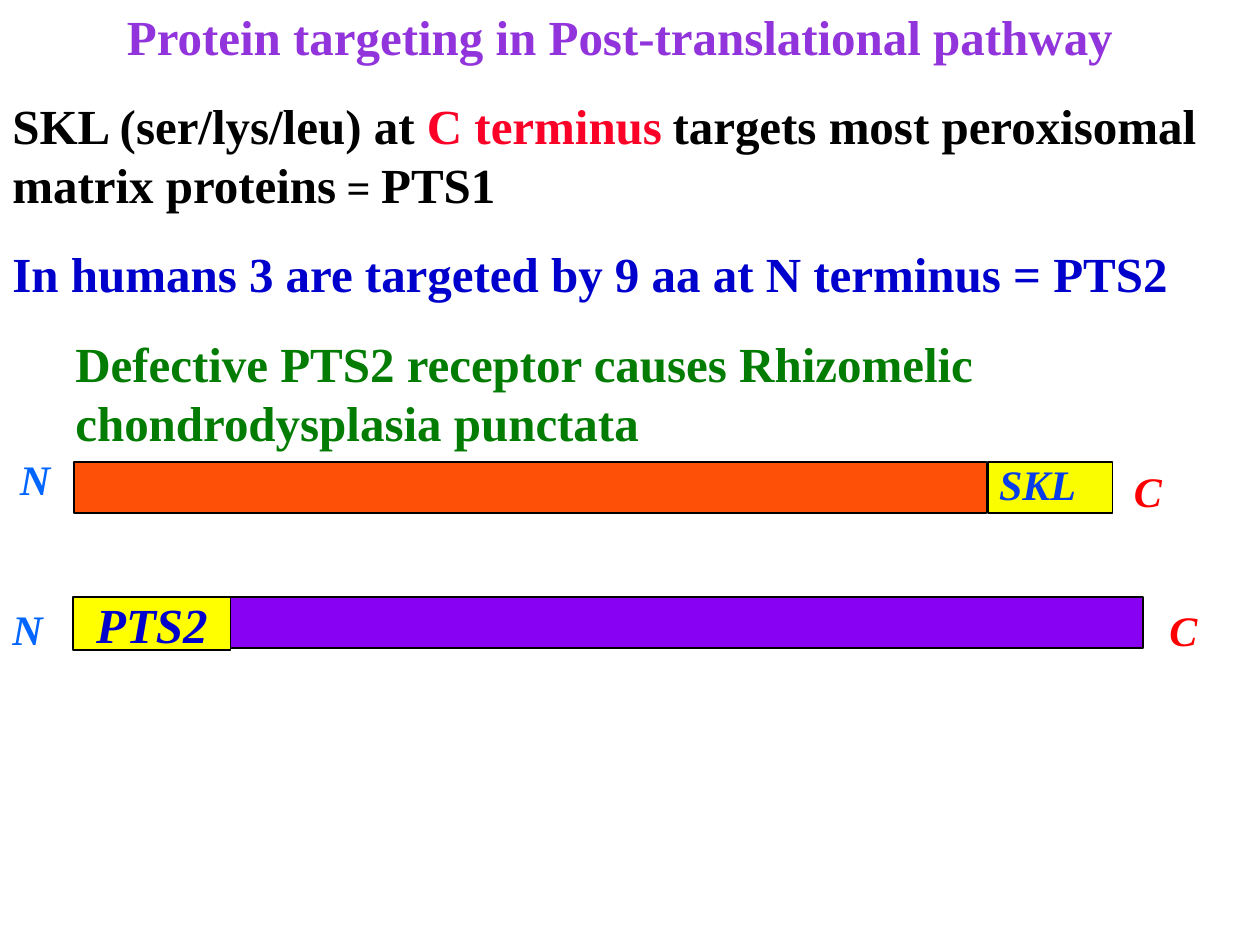
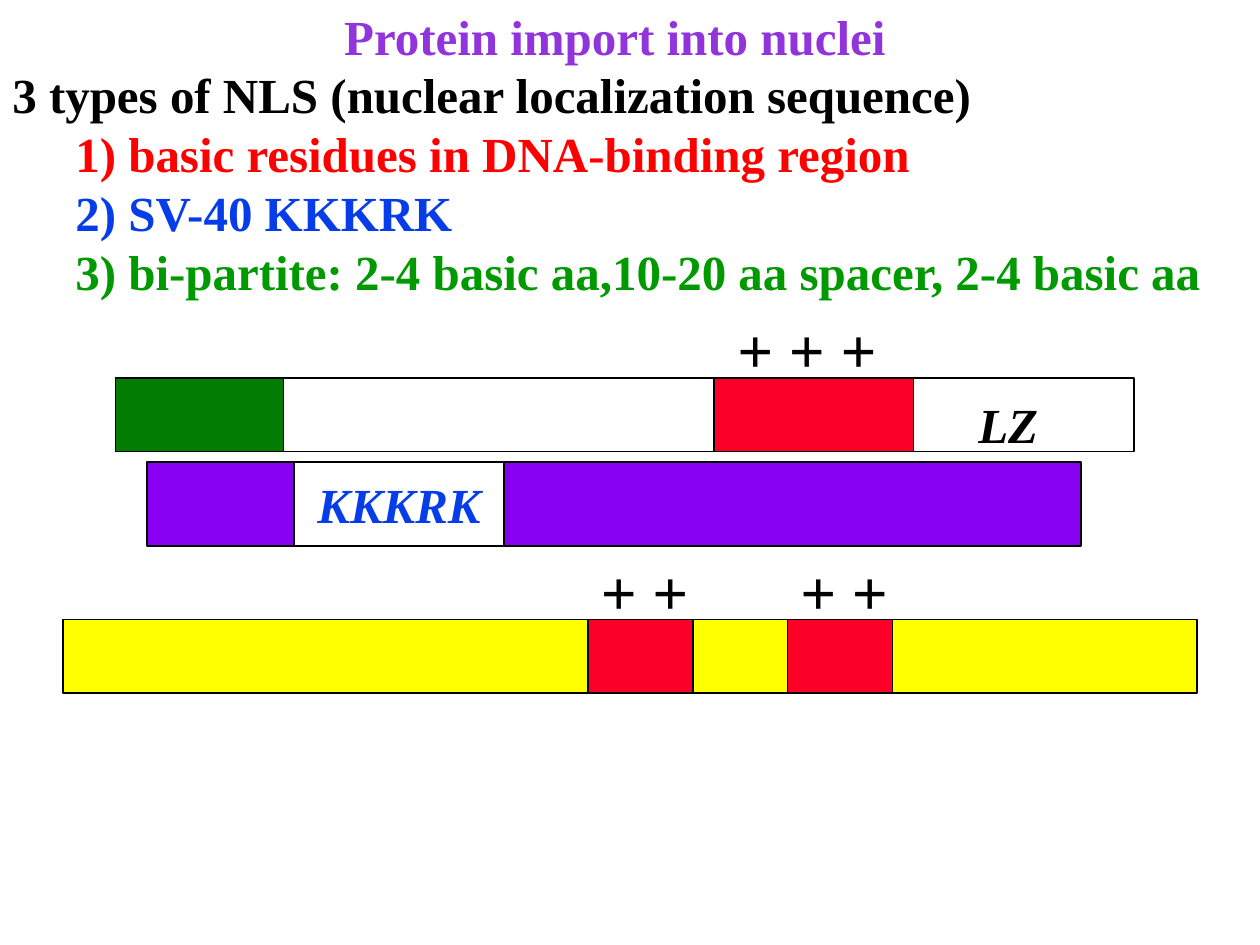
from pptx import Presentation
from pptx.dml.color import RGBColor
from pptx.enum import shapes, text
from pptx.util import Pt

FONT = "Times New Roman"
BLACK = RGBColor(0x00, 0x00, 0x00)
WHITE = RGBColor(0xFF, 0xFF, 0xFF)
TITLE = RGBColor(0x92, 0x34, 0xDB)
CRIMSON = RGBColor(0xFC, 0x01, 0x28)
RED = RGBColor(0xFF, 0x00, 0x00)
NAVY = RGBColor(0x00, 0x00, 0xCC)
BLUE = RGBColor(0x06, 0x3D, 0xE8)
SKY = RGBColor(0x00, 0x66, 0xFF)
DARK_GREEN = RGBColor(0x03, 0x7C, 0x03)
GREEN = RGBColor(0x00, 0x99, 0x00)
ORANGE = RGBColor(0xFF, 0x50, 0x08)
PURPLE = RGBColor(0x89, 0x01, 0xF3)
LEMON = RGBColor(0xFA, 0xFD, 0x00)
YELLOW = RGBColor(0xFF, 0xFF, 0x00)


def add_run(p, words, color, size=28, italic=False):
    """Append one bold run to a paragraph."""
    r = p.add_run()
    r.text = words
    r.font.name, r.font.size = FONT, Pt(size)
    r.font.bold, r.font.italic = True, italic
    r.font.color.rgb = color


def add_box(s, box, wrap=True):
    """Add an empty text box that grows with its text."""
    tf = s.shapes.add_textbox(*map(Pt, box)).text_frame
    tf.word_wrap = wrap
    tf.auto_size = text.MSO_AUTO_SIZE.SHAPE_TO_FIT_TEXT
    return tf


def add_label(s, box, words, color, size, wrap=True):
    """Add a one-line bold italic label."""
    p = add_box(s, box, wrap).paragraphs[0]
    add_run(p, words, color, size, True)


def add_heading(s, box, title, lines, gap=0):
    """Add the centred title with its (level, runs) lines below."""
    tf = add_box(s, box)
    p = tf.paragraphs[0]
    p.alignment = text.PP_ALIGN.CENTER
    add_run(p, title, TITLE)
    for level, runs in lines:
        p = tf.add_paragraph()
        p.level = level
        p._p.get_or_add_pPr().set("marL", str(Pt(36 * level)))
        p.space_before = Pt(gap)
        for run in runs:
            add_run(p, *run)


def add_segment(s, box, fill, words="", color=BLACK):
    """Add one outlined stretch of a protein, with an optional centred label."""
    sp = s.shapes.add_shape(shapes.MSO_SHAPE.RECTANGLE, *map(Pt, box))
    sp.shadow.inherit = False
    sp.fill.solid()
    sp.fill.fore_color.rgb = fill
    sp.line.color.rgb = BLACK
    sp.line.width = Pt(1)
    if words:
        tf = sp.text_frame
        tf.word_wrap = False
        tf.vertical_anchor = text.MSO_ANCHOR.MIDDLE
        p = tf.paragraphs[0]
        p.alignment = text.PP_ALIGN.CENTER
        add_run(p, words, color, 28, True)


def add_protein(s, box, fill, regions):
    """Draw a protein bar and its (offset, width, fill, label, colour) regions."""
    x, y, w, h = box
    add_segment(s, box, fill)
    for dx, width, *style in regions:
        add_segment(s, (x + dx, y, width, h), *style)


def add_ends(s, n_at, c_at):
    """Mark the N and C termini of a protein."""
    add_label(s, (*n_at, 32.4, 36), "N", SKY, 24, False)
    add_label(s, (*c_at, 30.2, 36), "C", RED, 24, False)


def add_pts1(s, box):
    """Draw the protein with SKL at its C terminus."""
    x, y, w, h = box
    tail = 71.3
    add_segment(s, (x, y, w - tail - 0.7, h), ORANGE)
    add_segment(s, (x + w - tail, y, tail, h), LEMON)
    add_label(s, (x + w - tail - 0.7, y - 5.8, 78.5, 36), "SKL", BLUE, 24)
    add_ends(s, (x - 38.2, y - 8.5), (x + w + 5, y - 2))


def add_pts2(s, box):
    """Draw the protein with PTS2 at its N terminus."""
    x, y, w, h = box
    head = 90
    add_segment(s, (x + head, y, w - head, h), PURPLE)
    add_ends(s, (x - 41.8, y), (x + w + 8, y + 0.7))
    add_segment(s, (x, y, head, h + 1.2), YELLOW, "PTS2", NAVY)


def add_dna_binding(s, box):
    """Draw the protein with basic residues in its DNA-binding region."""
    x, y, w, h = box
    add_protein(s, box, WHITE, [(0, 96, DARK_GREEN), (342, 114, CRIMSON)])
    add_label(s, (x + 348, y - h, 96, 50.4), "+ + +", BLACK, 36)
    add_label(s, (x + 486, y + 6, 72, 41), "LZ", BLACK, 28)


def add_bipartite(s, box):
    """Draw the protein with two basic clusters around a spacer."""
    x, y, w, h = box
    clusters = (300, 414)
    add_protein(s, box, YELLOW, [(dx, 60, CRIMSON) for dx in clusters])
    for dx in clusters:
        add_label(s, (x + dx, y - h, 72, 50.4), "+ +", BLACK, 36)


def build_targeting(s):
    """Fill the slide on post-translational targeting."""
    add_heading(s, (0, 0, 708.5, 261.4), "Protein targeting in Post-translational pathway", [
        (0, [("SKL (ser/lys/leu) at ", BLACK), ("C terminus", CRIMSON), (" ", CRIMSON, 24),
             ("targets most peroxisomal matrix proteins", BLACK), (" = ", BLACK, 24),
             ("PTS1", BLACK)]),
        (0, [("In humans 3 are targeted by 9 aa at N terminus = PTS2", NAVY)]),
        (1, [("Defective PTS2 receptor causes Rhizomelic chondrodysplasia punctata",
              DARK_GREEN)]),
    ], 17.5)
    add_pts1(s, (42.5, 264.2, 593.3, 29))
    add_pts2(s, (41.8, 341.3, 611.3, 29))


def build_nuclear_import(s):
    """Fill the slide on import into nuclei."""
    add_heading(s, (0, 0, 702.7, 175), "Protein import into nuclei", [
        (0, [("3 types of NLS (nuclear localization sequence)", BLACK)]),
        (1, [("1) basic residues in DNA-binding region", RED)]),
        (1, [("2) SV-40 KKKRK", BLUE)]),
        (1, [("3) bi-partite: 2-4 basic aa,10-20 aa spacer, 2-4 basic aa", GREEN)]),
    ])
    add_protein(s, (84, 264, 534, 48), PURPLE, [(84, 120, WHITE, "KKKRK", BLUE)])
    add_dna_binding(s, (66, 216, 582, 42))
    add_bipartite(s, (36, 354, 648, 42))


def main():
    """Build and save the two slides."""
    prs = Presentation()
    prs.slide_width, prs.slide_height = Pt(720), Pt(540)
    for build in (build_targeting, build_nuclear_import):
        build(prs.slides.add_slide(prs.slide_layouts[6]))
    prs.save("out.pptx")


if __name__ == "__main__":
    main()
